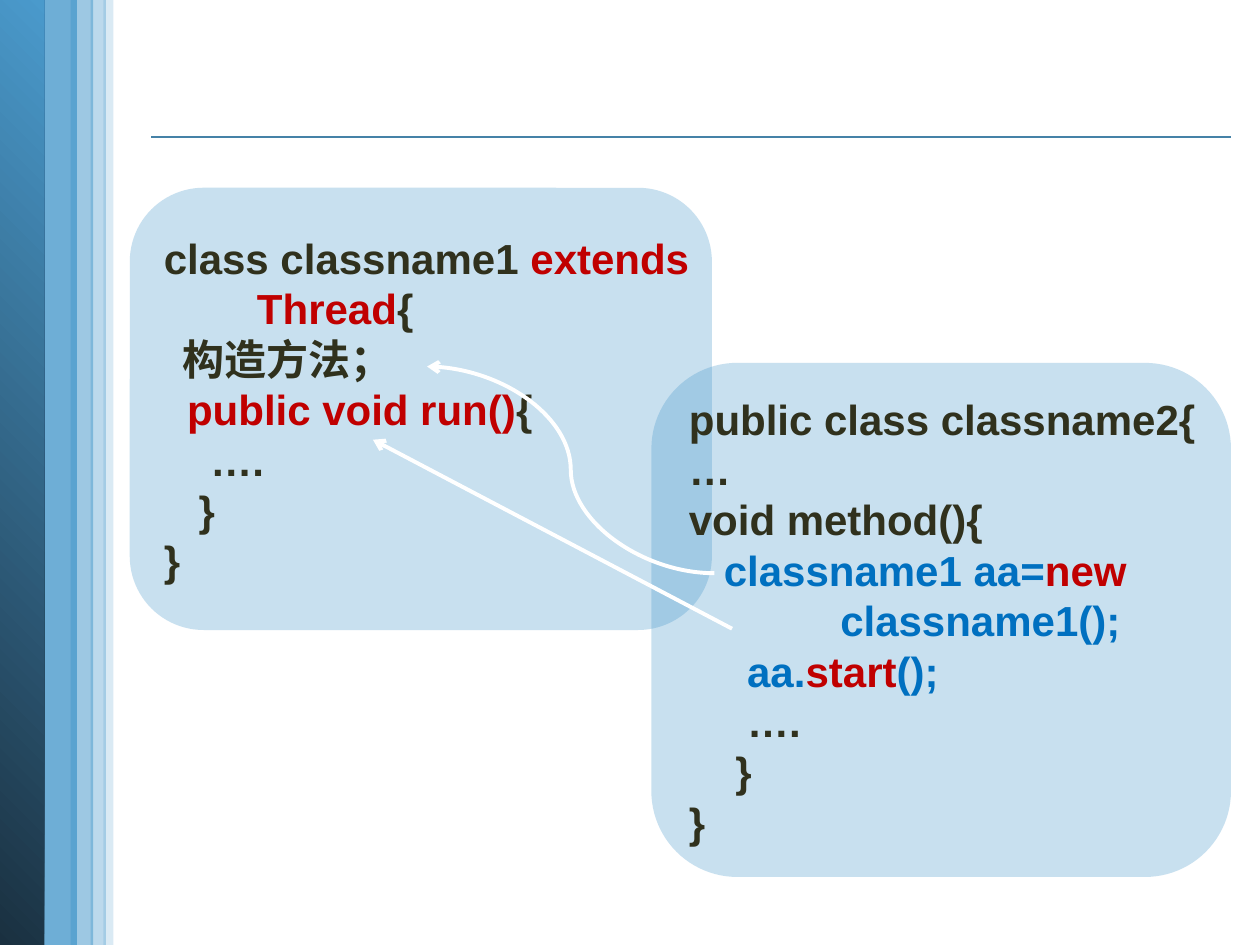
from pptx import Presentation
from pptx.dml.color import RGBColor
from pptx.enum.shapes import MSO_CONNECTOR as LINK, MSO_SHAPE as SHAPE
from pptx.enum.text import MSO_ANCHOR as ANCHOR, PP_ALIGN as ALIGN
from pptx.oxml.ns import qn
from pptx.util import Inches, Pt
from lxml.etree import SubElement

BLUE = RGBColor(0x4A, 0x9A, 0xCC)
NAVY = RGBColor(0x1A, 0x30, 0x40)
RULE = RGBColor(0x45, 0x82, 0xA7)
WHITE = RGBColor(0xFF, 0xFF, 0xFF)
DARK = RGBColor(0x30, 0x31, 0x1D)
RED = RGBColor(0xC0, 0x00, 0x00)
CALL = RGBColor(0x00, 0x70, 0xC0)


class SlideBuilder:
    """Holds the code style and the slide being filled."""

    code_font = {"name": "Arial", "size": Pt(24), "bold": True}
    code_frame = {"word_wrap": False, "vertical_anchor": ANCHOR.MIDDLE}

    def __init__(self, slide):
        self.slide = slide

    def block(self, kind, box, alpha=100):
        shape = self.slide.shapes.add_shape(kind, *map(Inches, box))
        shape.shadow.inherit = False
        shape.line.fill.background()
        shape.fill.solid()
        shape.fill.fore_color.rgb = BLUE
        if alpha < 100:
            colour = shape.fill._xPr.find(qn("a:solidFill"))[0]
            SubElement(colour, qn("a:alpha"), val=str(alpha * 1000))
        return shape

    def gradient_band(self, box):
        fill = self.block(SHAPE.RECTANGLE, box).fill
        fill.gradient()
        fill.gradient_angle = 45
        for stop, colour, position in zip(fill.gradient_stops, (NAVY, BLUE), (0, 1)):
            stop.color.rgb = colour
            stop.position = position

    def code_card(self, box, lines):
        card = self.block(SHAPE.ROUNDED_RECTANGLE, box, alpha=30)
        card.adjustments[0] = 0.167
        frame = card.text_frame
        for name, value in self.code_frame.items():
            setattr(frame, name, value)
        for index, line in enumerate(lines):
            paragraph = frame.paragraphs[0] if index == 0 else frame.add_paragraph()
            paragraph.alignment = ALIGN.LEFT
            paragraph.line_spacing = Pt(28.8)
            for text, colour in line:
                run = paragraph.add_run()
                run.text = text
                run.font.color.rgb = colour
                for name, value in self.code_font.items():
                    setattr(run.font, name, value)

    def link(self, kind, start, end, colour, width, arrow=False):
        link = self.slide.shapes.add_connector(kind, *map(Inches, start + end))
        link.line.color.rgb = colour
        link.line.width = Pt(width)
        if arrow:
            SubElement(link.line._get_or_add_ln(), qn("a:tailEnd"), type="arrow")
        SubElement(link._element.spPr, qn("a:effectLst"))


THREAD_CLASS = [
    [("class classname1 ", DARK), ("extends", RED)],
    [("        Thread", RED), ("{", DARK)],
    [("  构造方法；", DARK)],
    [("  ", DARK), ("public void run()", RED), ("{", DARK)],
    [("    ….", DARK)],
    [("   }", DARK)],
    [("}", DARK)],
]
CALLER_CLASS = [
    [("public class classname2{", DARK)],
    [("…", DARK)],
    [("void method(){", DARK)],
    [("   classname1 aa=", CALL), ("new", RED)],
    [("             classname1();", CALL)],
    [("     aa.", CALL), ("start", RED), ("();", CALL)],
    [("     ….", DARK)],
    [("    }", DARK)],
    [("}", DARK)],
]


def main():
    deck = Presentation()
    deck.slide_width, deck.slide_height = Inches(10), Inches(7.5)
    page = SlideBuilder(deck.slides.add_slide(deck.slide_layouts[6]))

    # Heading rule and the bands down the left edge
    page.link(LINK.STRAIGHT, (1.2, 1.09), (9.77, 1.09), RULE, 1)
    page.block(SHAPE.RECTANGLE, (0.3, 0, 0.31, 7.53), alpha=80)
    page.gradient_band((-0.01, 0, 0.36, 7.5))
    for left, top, width, height, alpha in [
        (0.82, -0.02, 0.08, 7.52, 20),
        (0.56, 0, 0.18, 7.51, 54),
        (0.72, 0, 0.12, 7.52, 37),
    ]:
        page.block(SHAPE.RECTANGLE, (left, top, width, height), alpha)

    # The two classes
    page.code_card((1.03, 1.49, 4.62, 3.51), THREAD_CLASS)
    page.code_card((5.17, 2.88, 4.6, 4.08), CALLER_CLASS)

    # start() leads to run(), new leads to the constructor
    page.link(LINK.STRAIGHT, (5.81, 4.99), (2.96, 3.49), WHITE, 2.25, arrow=True)
    page.link(LINK.CURVE, (5.67, 4.55), (3.39, 2.91), WHITE, 2.25, arrow=True)

    deck.save("out.pptx")


if __name__ == "__main__":
    main()
